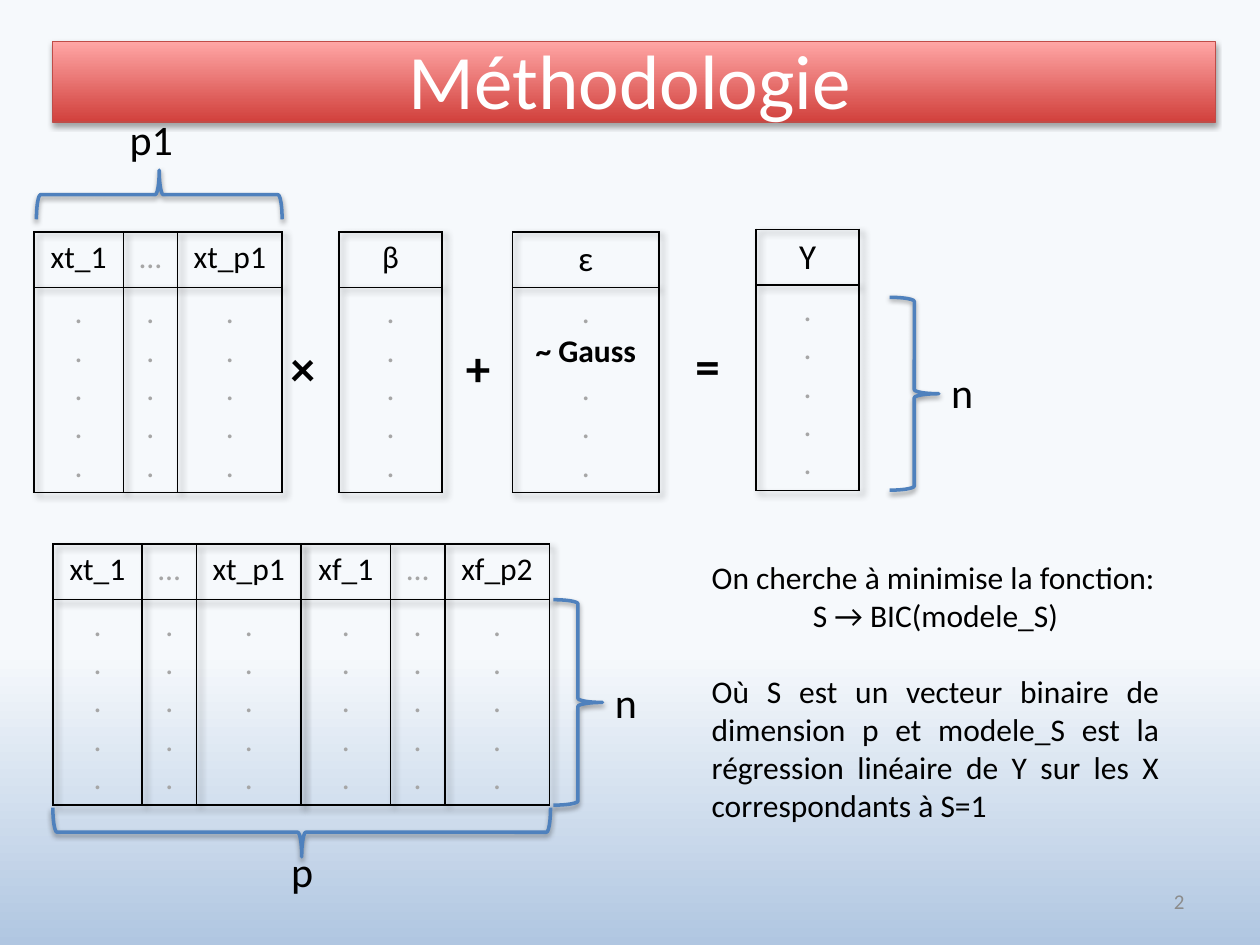
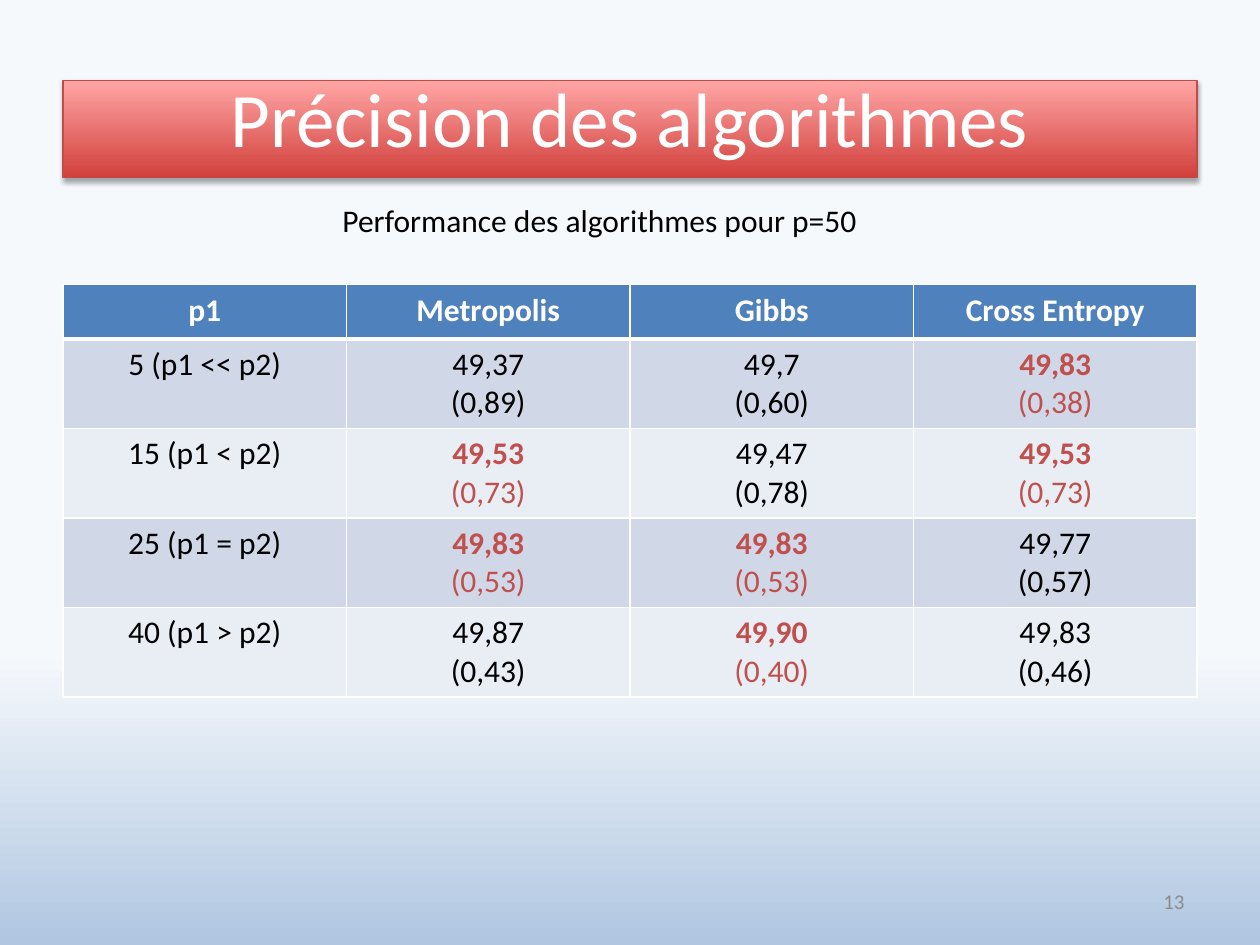
from dataclasses import dataclass

from lxml import etree
from pptx import Presentation
from pptx.dml.color import RGBColor
from pptx.enum.shapes import MSO_SHAPE
from pptx.enum.text import MSO_ANCHOR, PP_ALIGN
from pptx.oxml import parse_xml
from pptx.oxml.ns import nsdecls, qn
from pptx.util import Pt

LEFT, CENTER = PP_ALIGN.LEFT, PP_ALIGN.CENTER
RIGHT, JUSTIFY = PP_ALIGN.RIGHT, PP_ALIGN.JUSTIFY
TOP, MIDDLE = MSO_ANCHOR.TOP, MSO_ANCHOR.MIDDLE
RECT, BRACE = MSO_SHAPE.RECTANGLE, MSO_SHAPE.RIGHT_BRACE
NO_STYLE = "{2D5ABB26-0587-4C30-8999-92F81FD0307C}"


@dataclass(frozen=True)
class Theme:
    font: str = "Calibri"
    black: str = "000000"
    white: str = "FFFFFF"
    muted: str = "A6A6A6"
    page: str = "8C8C8C"
    blue: str = "4F81BD"
    best: str = "C0504D"
    band_line: str = "BF4C48"
    band: tuple = ((0, "D1403C"), (1, "FFA6A5"))
    backdrop: tuple = ((0.69, "F6F9FC"), (1, "B0C6E1"))
    stripes: tuple = ("D0D8E8", "E9EDF4")
    title: float = 44
    operator: float = 28
    label: float = 24
    symbol: float = 20
    body: float = 18
    small: float = 12


T = Theme()
MUTED = {"color": T.muted}
BOLD = {"bold": True}
DOT = (".", MUTED)

# Sizes of the matrices
COLS = (51.1, 31, 59.8)
HEAD_H, BODY_H = 31.7, 117.4
BRACE_W = 28.1


def rgb(value):
    return RGBColor.from_string(value)


def points(*values):
    return [Pt(v) for v in values]


# Shared helpers
def write(tf, lines, align=CENTER, **base):
    """Each line is a string or a (string, format) pair."""
    for i, line in enumerate(lines):
        text, own = (line, {}) if isinstance(line, str) else line
        fmt = {"size": T.body, "color": T.black, "bold": False,
               "align": align, "before": 0, **base, **own}
        p = tf.paragraphs[0] if i == 0 else tf.add_paragraph()
        p.alignment, p.space_before = fmt["align"], Pt(fmt["before"])
        r = p.add_run()
        r.text = text
        font = {"name": T.font, "size": Pt(fmt["size"]), "bold": fmt["bold"]}
        for name, value in font.items():
            setattr(r.font, name, value)
        r.font.color.rgb = rgb(fmt["color"])


def add_text(s, box, lines, align=CENTER, anchor=TOP, **base):
    tf = s.shapes.add_textbox(*points(*box)).text_frame
    tf.word_wrap, tf.vertical_anchor = True, anchor
    write(tf, lines, align, **base)


def gradient(fill, stops, angle):
    fill.gradient()
    fill.gradient_angle = angle
    for stop, (position, color) in zip(fill.gradient_stops, stops):
        stop.position = position
        stop.color.rgb = rgb(color)


def shadow_xml(blur, dist, angle, alpha):
    return parse_xml(
        f'<a:outerShdw {nsdecls("a")} blurRad="{Pt(blur)}" dist="{Pt(dist)}" '
        f'dir="{angle * 60000}" rotWithShape="0"><a:srgbClr val="{T.black}">'
        f'<a:alpha val="{alpha * 1000}"/></a:srgbClr></a:outerShdw>')


def add_shape(s, kind, box, line, width, alpha, dist):
    sp = s.shapes.add_shape(kind, *points(*box))
    sp.line.color.rgb, sp.line.width = rgb(line), Pt(width)
    sp.shadow.inherit = False
    effects = sp._element.spPr.find(qn("a:effectLst"))
    effects.append(shadow_xml(3.1, dist, 90, alpha))
    return sp


def add_brace(s, box, turn=0):
    """Box is the area seen; a turned brace is laid out around its centre."""
    x, y, w, h = box
    if turn:
        x, y, w, h = x + (w - h) / 2, y + (h - w) / 2, h, w
    sp = add_shape(s, BRACE, (x, y, w, h), T.blue, 2, 38, 1.6)
    sp.fill.background()
    sp.rotation = turn


def add_grid(s, x, y, cols, rows):
    frame = s.shapes.add_table(len(rows), len(cols),
                               *points(x, y, sum(cols), sum(rows)))
    table = frame.table
    for col, width in zip(table.columns, cols):
        col.width = Pt(width)
    for row, height in zip(table.rows, rows):
        row.height = Pt(height)
    table.first_row = table.horz_banding = False
    props = table._tbl.tblPr
    props.find(qn("a:tableStyleId")).text = NO_STYLE
    return table, props


def style_cell(cell, fill, line, **widths):
    """Fill the cell and draw its four borders, 1 pt unless given."""
    if fill:
        cell.fill.solid()
        cell.fill.fore_color.rgb = rgb(fill)
    else:
        cell.fill.background()
    props = cell._tc.get_or_add_tcPr()
    for i, side in enumerate("LRTB"):
        props.insert(i, parse_xml(
            f'<a:ln{side} {nsdecls("a")} w="{Pt(widths.get(side, 1))}">'
            f'<a:solidFill><a:srgbClr val="{line}"/></a:solidFill></a:ln{side}>'))


def add_slide(prs, title, band_box, title_box, number):
    """Background, title band and page number."""
    s = prs.slides.add_slide(prs.slide_layouts[6])
    gradient(s.background.fill, T.backdrop, 270)
    band = add_shape(s, RECT, band_box, T.band_line, 0.75, 35, 1.8)
    gradient(band.fill, T.band, 90)
    add_text(s, title_box, [title], anchor=MIDDLE, size=T.title, color=T.white)
    add_text(s, (516, 500.5, 168, 28.8), [number], RIGHT, MIDDLE,
             size=T.small, color=T.page)
    return s


# Regions of the method slide
def matrix(s, x, y, heads, cols, body=(DOT,) * 5):
    table, props = add_grid(s, x, y, cols, (HEAD_H, BODY_H))
    effects = etree.Element(qn("a:effectLst"))
    effects.append(shadow_xml(4, 3, 45, 40))
    props.insert(0, effects)
    for c, head in enumerate(heads):
        for r, lines in enumerate(([head], body)):
            cell = table.cell(r, c)
            write(cell.text_frame, lines)
            style_cell(cell, None, T.black)


def equation(s, x, y):
    narrow, wide = 59, 83.5
    big = {"size": T.symbol}
    gauss = (DOT, ("~ Gauss", BOLD), DOT, DOT, DOT)

    # Terms
    matrix(s, x, y, ("xt_1", ("…", MUTED), "xt_p1"), COLS)
    matrix(s, x + 174.3, y, ("β",), (narrow,))
    matrix(s, x + 273.6, y, (("ɛ", big),), (wide,), gauss)
    matrix(s, x + 412.6, y - 1.4, (("Y", big),), (narrow,))

    # Operators
    for sign, dx, dy in (("×", 133.2, 57), ("+", 233.3, 57), ("=", 364.4, 55.5)):
        add_text(s, (x + dx, y + dy, 41, 41), [sign],
                 size=T.operator, bold=True)

    # Dimensions
    add_brace(s, (x + 1.4, y - 35.3, 140.4, BRACE_W), 270)
    add_text(s, (x + 42.5, y - 71.3, 49, 36), ["p1"], size=T.label)
    add_brace(s, (x + 489, y + 37.4, BRACE_W, 110.2))
    add_text(s, (x + 517, y + 73.4, 28.1, 36), ["n"], LEFT, size=T.label)


def design(s, x, y):
    width = sum(COLS)
    for i, name in enumerate(("xt_1 xt_p1", "xf_1 xf_p2")):
        first, last = name.split()
        matrix(s, x + i * width, y, (first, ("…", MUTED), last), COLS)
    add_brace(s, (x + 286, y + HEAD_H, BRACE_W, BODY_H))
    add_text(s, (x + 314, y + 72, 28.1, 36), ["n"], LEFT, size=T.label)
    add_brace(s, (x, y + 150.5, 284.4, BRACE_W), 90)
    add_text(s, (x + 118, y + 168.5, 49, 36), ["p"], size=T.label)


def objective(s, box):
    add_text(s, box, [
        "On cherche à minimise la fonction:",
        ("S → BIC(modele_S)", {"align": CENTER}),
        ("Où S est un vecteur binaire de dimension p et modele_S est la "
         "régression linéaire de Y sur les X correspondants à S=1",
         {"align": JUSTIFY, "before": 22})], LEFT)


# Region of the precision slide
HEADS = ("p1", "Metropolis", "Gibbs", "Cross Entropy")
SCORES = (  # mean and deviation for each algorithm; * marks the best
    ("5 (p1 << p2)", "49,37 (0,89)", "49,7 (0,60)", "*49,83 (0,38)"),
    ("15 (p1 < p2)", "*49,53 (0,73)", "49,47 (0,78)", "*49,53 (0,73)"),
    ("25 (p1 = p2)", "*49,83 (0,53)", "*49,83 (0,53)", "49,77 (0,57)"),
    ("40 (p1 > p2)", "49,87 (0,43)", "*49,90 (0,40)", "49,83 (0,46)"),
)


def score_table(s, x, y, w):
    rows = (31, *[51.15] * len(SCORES))
    table, _ = add_grid(s, x, y, [w / len(HEADS)] * len(HEADS), rows)
    table.first_row = True
    for c, head in enumerate(HEADS):
        cell = table.cell(0, c)
        write(cell.text_frame, [head], color=T.white, bold=True)
        style_cell(cell, T.blue, T.white, B=3)
    for r, (case, *scores) in enumerate(SCORES, 1):
        for c, value in enumerate((case, *scores)):
            cell = table.cell(r, c)
            if c == 0:
                write(cell.text_frame, [case])
            else:
                best = value.startswith("*")
                mean, deviation = value.lstrip("*").split()
                write(cell.text_frame, [(mean, {"bold": best}), deviation],
                      color=T.best if best else T.black)
            style_cell(cell, T.stripes[(r - 1) % 2], T.white,
                       T=3 if r == 1 else 1)


def method_slide(prs):
    s = add_slide(prs, "Méthodologie", (30.2, 23.8, 664.6, 46),
                  (36, 0, 648, 90), "2")
    equation(s, 19.4, 132.5)
    design(s, 30.2, 311)
    objective(s, (399.6, 315.4, 270, 181.4))


def precision_slide(prs):
    s = add_slide(prs, "Précision des algorithmes", (36, 46, 648, 55.4),
                  (36, 21.6, 648, 90), "13")
    add_text(s, (188.6, 111.6, 312.5, 28.8),
             ["Performance des algorithmes pour p=50"], LEFT)
    score_table(s, 36, 162.7, 648)


prs = Presentation()
prs.slide_width, prs.slide_height = points(720, 540)
method_slide(prs)
precision_slide(prs)
prs.save("out.pptx")
